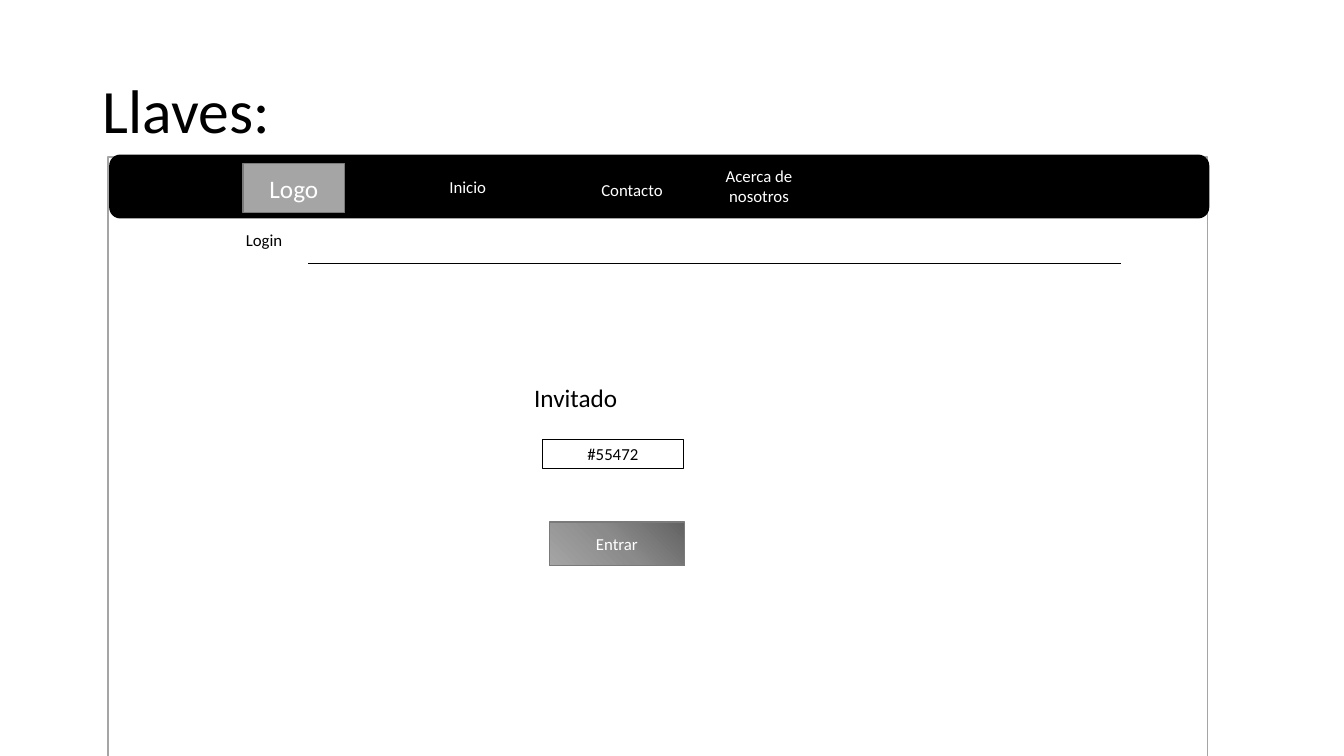
"""Build the guest login wireframe slide titled Llaves."""
from copy import deepcopy

from pptx import Presentation
from pptx.dml.color import RGBColor
from pptx.enum.shapes import MSO_CONNECTOR, MSO_SHAPE
from pptx.enum.text import MSO_ANCHOR, PP_ALIGN
from pptx.oxml.ns import qn
from pptx.util import Inches, Pt
from lxml.etree import SubElement

BLACK = RGBColor(0x00, 0x00, 0x00)
WHITE = RGBColor(0xFF, 0xFF, 0xFF)
SILVER = RGBColor(0xA5, 0xA5, 0xA5)
GRAY = RGBColor(0x7A, 0x7A, 0x7A)
MID_GRAY = RGBColor(0x8B, 0x8B, 0x8B)
DARK_GRAY = RGBColor(0x62, 0x62, 0x62)

deck = Presentation()
deck.slide_width = Inches(13.33)
deck.slide_height = Inches(7.5)
COL = deck.slide_width / 40
ROW = deck.slide_height / 30
slide = deck.slides.add_slide(deck.slide_layouts[6])


def place(text, col, row, cols, rows, outline=None, fill=WHITE, line=BLACK,
          color=BLACK, size=12, align=PP_ALIGN.CENTER, anchor=MSO_ANCHOR.MIDDLE,
          spacing=None):
    """Place text on the grid, inside a preset outline if one is given."""
    area = [round(n) for n in (col * COL, row * ROW, cols * COL, rows * ROW)]
    if outline is None:
        item = slide.shapes.add_textbox(*area)
    else:
        item = slide.shapes.add_shape(outline, *area)
        item.shadow.inherit = False
        item.fill.solid()
        item.fill.fore_color.rgb = fill
        item.line.color.rgb = line
        item.line.width = Pt(1)
    frame = item.text_frame
    frame.word_wrap = True
    frame.vertical_anchor = anchor
    if text:
        paragraph = frame.paragraphs[0]
        paragraph.alignment = align
        paragraph.line_spacing = spacing
        run = paragraph.add_run()
        run.text = text
        run.font.name = "Calibri"
        run.font.size = Pt(size)
        run.font.color.rgb = color
    return item


BOX = MSO_SHAPE.RECTANGLE
label = {"align": PP_ALIGN.LEFT, "anchor": MSO_ANCHOR.TOP}

place("Llaves:", 2.76, 1.6, 34.5, 5.8, size=44, align=PP_ALIGN.LEFT, spacing=0.9)
place("", 3.21, 6.24, 32.73, 24.12, BOX, line=SILVER)
place("", 3.27, 6.16, 32.7, 2.48, MSO_SHAPE.ROUNDED_RECTANGLE, fill=BLACK)
place("Logo", 7.23, 6.48, 3.03, 1.96, BOX, fill=SILVER, line=GRAY, color=WHITE, size=18)

for entry, col, row, cols in [
    ("Contacto", 17.28, 6.4, 3.06),
    ("Inicio", 12.33, 6.28, 3.18),
    ("Acerca de nosotros", 20.88, 6.24, 3.42),
]:
    place(entry, col, row, cols, 2.24, BOX, fill=BLACK, color=WHITE)

rule_y = round(10.44 * ROW)
login_rule = slide.shapes.add_connector(
    MSO_CONNECTOR.STRAIGHT, round(9.18 * COL), rule_y, round(33.36 * COL), rule_y)
login_rule.line.color.rgb = BLACK
login_rule.line.width = Pt(0.5)
SubElement(login_rule.element.spPr, qn("a:effectLst"))
place("\tLogin", 5.52, 8.92, 29.34, 1.2, **label)

enter_button = place("Entrar", 16.35, 20.72, 4.02, 1.72, BOX, line=GRAY, color=WHITE)
enter_button.fill.gradient()
enter_button.fill.gradient_angle = 225
stop_list = enter_button.element.spPr.find(qn("a:gradFill")).find(qn("a:gsLst"))
stop_list.insert(1, deepcopy(stop_list[0]))
shades = [(0, DARK_GRAY), (0.5, MID_GRAY), (1, SILVER)]
for stop, (position, shade) in zip(enter_button.fill.gradient_stops, shades):
    stop.position = position
    stop.color.rgb = shade

place("#55472", 16.14, 17.44, 4.2, 1.16, BOX)
place("Invitado", 15.6, 14.96, 4.59, 1.6, size=18, **label)

deck.save("out.pptx")
